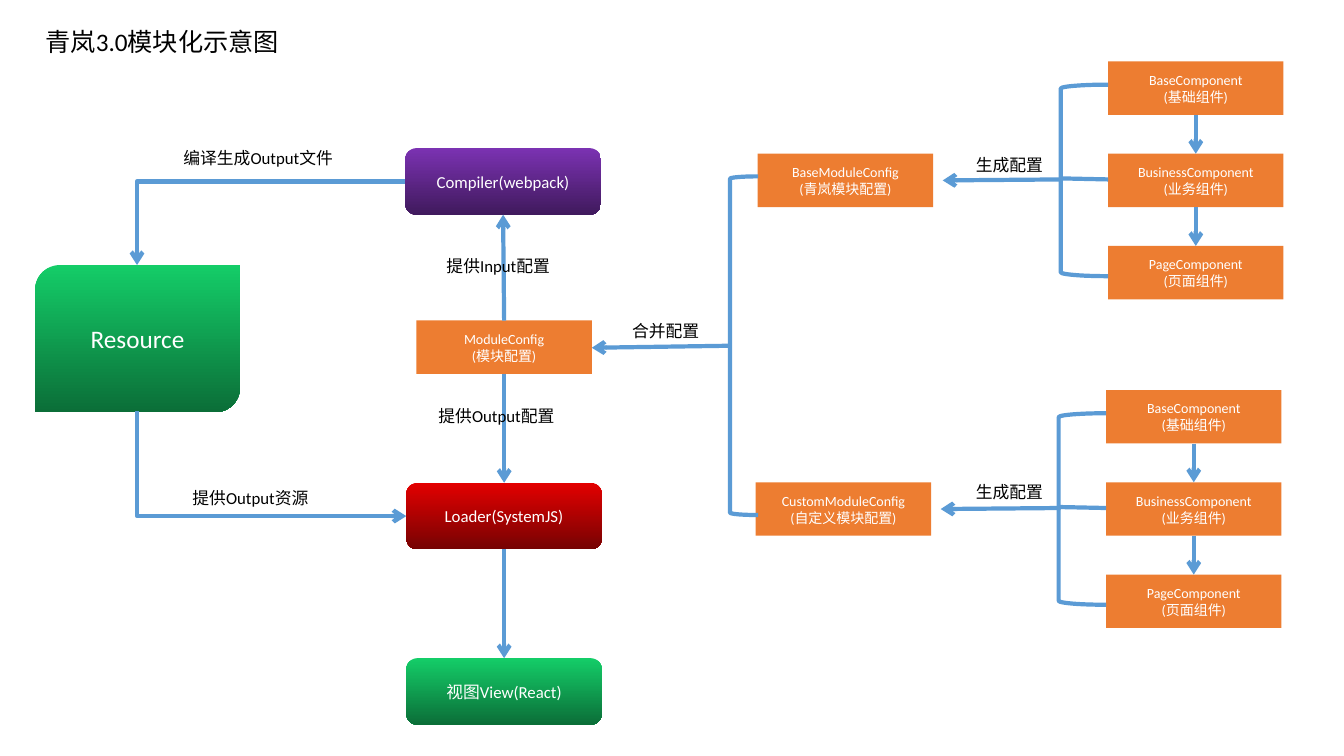
"""Builds a one-page diagram of a front-end module system."""
from pptx import Presentation
from pptx.dml.color import RGBColor
from pptx.enum.shapes import MSO_CONNECTOR as LINK, MSO_SHAPE as SHAPE
from pptx.enum.text import MSO_ANCHOR as ANCHOR, MSO_AUTO_SIZE as FIT, PP_ALIGN as ALIGN
from pptx.oxml.ns import qn
from pptx.util import Inches, Pt
from lxml.etree import SubElement

COLORS = {
    "card": "ED7D31", "line": "5B9BD5", "ink": "000000", "light": "FFFFFF",
    "compiler": ("7B32B2", "401A5D"), "loader": ("E30000", "760303"),
    "green": ("14CD68", "0B6E38"),
}
COLUMNS, ROWS = 133.3, 75
CARD = (17.4, 5.3)
STAGE = (19.4, 6.6)
STEP = 9.15


class Diagram:
    """Holds the style and the current page, placing elements on a 0.1 inch grid."""

    font = "Calibri"
    stroke = Pt(3)

    def __init__(self, deck):
        self.page = deck.slides.add_slide(deck.slide_layouts[5])

    def grid(self, *cells):
        return [Inches(cell / 10) for cell in cells]

    def color(self, name):
        return RGBColor.from_string(COLORS[name])

    def fill_text(self, frame, lines, size, color, align):
        frame.word_wrap = True
        for index, line in enumerate(lines):
            para = frame.add_paragraph() if index else frame.paragraphs[0]
            para.alignment = align
            span = para.add_run()
            span.text = line
            span.font.size = Pt(size)
            span.font.name = self.font
            span.font.color.rgb = self.color(color)

    def title(self, text, left, top, width, height):
        box = self.page.shapes.title
        box.left, box.top, box.width, box.height = self.grid(left, top, width, height)
        box.text_frame.vertical_anchor = ANCHOR.TOP
        self.fill_text(box.text_frame, [text], 18, "ink", ALIGN.LEFT)
        box.text_frame.auto_size = FIT.SHAPE_TO_FIT_TEXT

    def label(self, text, left, top, width):
        box = self.page.shapes.add_textbox(*self.grid(left, top, width, 3))
        self.fill_text(box.text_frame, [text], 12, "ink", ALIGN.LEFT)
        box.text_frame.auto_size = FIT.SHAPE_TO_FIT_TEXT

    def shape(self, kind, left, top, width, height):
        box = self.page.shapes.add_shape(kind, *self.grid(left, top, width, height))
        box.shadow.inherit = False
        return box

    def card(self, name, caption, left, top):
        box = self.shape(SHAPE.RECTANGLE, left, top, *CARD)
        box.fill.solid()
        box.fill.fore_color.rgb = self.color("card")
        box.line.fill.background()
        box.text_frame.vertical_anchor = ANCHOR.MIDDLE
        self.fill_text(box.text_frame, [name, f"({caption})"], 10, "light", ALIGN.CENTER)

    def stage(self, text, shades, left, top, extent=STAGE,
              kind=SHAPE.ROUNDED_RECTANGLE, size=12):
        box = self.shape(kind, left, top, *extent)
        box.fill.gradient()
        box.fill.gradient_angle = 270
        for place, (stop, shade) in enumerate(zip(box.fill.gradient_stops, COLORS[shades])):
            stop.position = place
            stop.color.rgb = RGBColor.from_string(shade)
        box.line.fill.background()
        box.text_frame.vertical_anchor = ANCHOR.MIDDLE
        self.fill_text(box.text_frame, [text], size, "light", ALIGN.CENTER)

    def bracket(self, left, top, width, height):
        box = self.shape(SHAPE.LEFT_BRACKET, left, top, width, height)
        box.fill.background()
        box.line.color.rgb = self.color("line")
        box.line.width = self.stroke

    def link(self, start, end, arrow=True, kind=LINK.STRAIGHT):
        line = self.page.shapes.add_connector(kind, *self.grid(*start, *end))
        line.line.color.rgb = self.color("line")
        line.line.width = self.stroke
        properties = line.element.spPr
        if arrow:
            SubElement(properties.find(qn("a:ln")), qn("a:tailEnd"), type="arrow")
        SubElement(properties, qn("a:effectLst"))
        return properties

    def elbow(self, start, end, down_first=False):
        if down_first:
            (x1, y1), (x2, y2) = start, end
            middle_x, middle_y = (x1 + x2) / 2, (y1 + y2) / 2
            half_x, half_y = (y2 - y1) / 2, (x2 - x1) / 2
            start = middle_x - half_x, middle_y + half_y
            end = middle_x + half_x, middle_y - half_y
        properties = self.link(start, end, kind=LINK.ELBOW)
        properties.find(qn("a:prstGeom")).set("prst", "bentConnector2")
        if down_first:
            properties.find(qn("a:xfrm")).set("rot", "5400000")

    def cluster(self, name, caption, left, top, label_top):
        parts = (("BaseComponent", "基础组件"), ("BusinessComponent", "业务组件"),
                 ("PageComponent", "页面组件"))
        center = left + CARD[0] / 2
        for index, part in enumerate(parts):
            card_top = top + index * STEP
            self.card(*part, left, card_top)
            if index:
                self.link((center, card_top - STEP + CARD[1]), (center, card_top))
        self.bracket(left - 4.7, top + 2.3, 4.7, 19)
        self.link((left, top + 11.7), (left - 4.7, top + 11.6), arrow=False)
        self.link((left - 4.5, top + 11.7), (left - 16.4, top + 11.8))
        self.label("生成配置", 95.8, label_top, 10.5)
        self.card(name, caption, left - 34.75, top + STEP)


deck = Presentation()
deck.slide_width, deck.slide_height = Inches(COLUMNS / 10), Inches(ROWS / 10)
diagram = Diagram(deck)
diagram.title("青岚3.0模块化示意图", 3.5, 2.1, 85, 4)

diagram.card("ModuleConfig", "模块配置", 41.3, 31.8)
diagram.stage("Compiler(webpack)", "compiler", 40.2, 14.7)
diagram.stage("Loader(SystemJS)", "loader", 40.3, 47.9)
diagram.stage("视图View(React)", "green", 40.3, 65.3)
diagram.stage("Resource", "green", 3.5, 26.3, (20.3, 14.6),
              SHAPE.ROUND_2_DIAG_RECTANGLE, 18)

diagram.link((50, 31.8), (49.9, 21.3))
diagram.link((50, 37.1), (50, 47.9))
diagram.link((50, 54.5), (50, 65.3))
diagram.elbow((40.2, 18), (13.6, 26.3))
diagram.elbow((13.6, 40.8), (40.3, 51.2), down_first=True)

for label in (("提供Input配置", 43.3, 24.9, 13.2), ("提供Output配置", 42.5, 39.8, 15),
              ("编译生成Output文件", 17.2, 14.2, 21.5),
              ("提供Output资源", 18.1, 47.9, 21.5), ("合并配置", 61.7, 31.3, 10.5)):
    diagram.label(*label)

diagram.cluster("BaseModuleConfig", "青岚模块配置", 109.9, 6.1, 14.9)
diagram.cluster("CustomModuleConfig", "自定义模块配置", 109.7, 38.7, 47.3)
diagram.bracket(72.4, 17.5, 2.8, 33.6)
diagram.link((72.4, 34.3), (58.7, 34.5))

deck.save("out.pptx")
